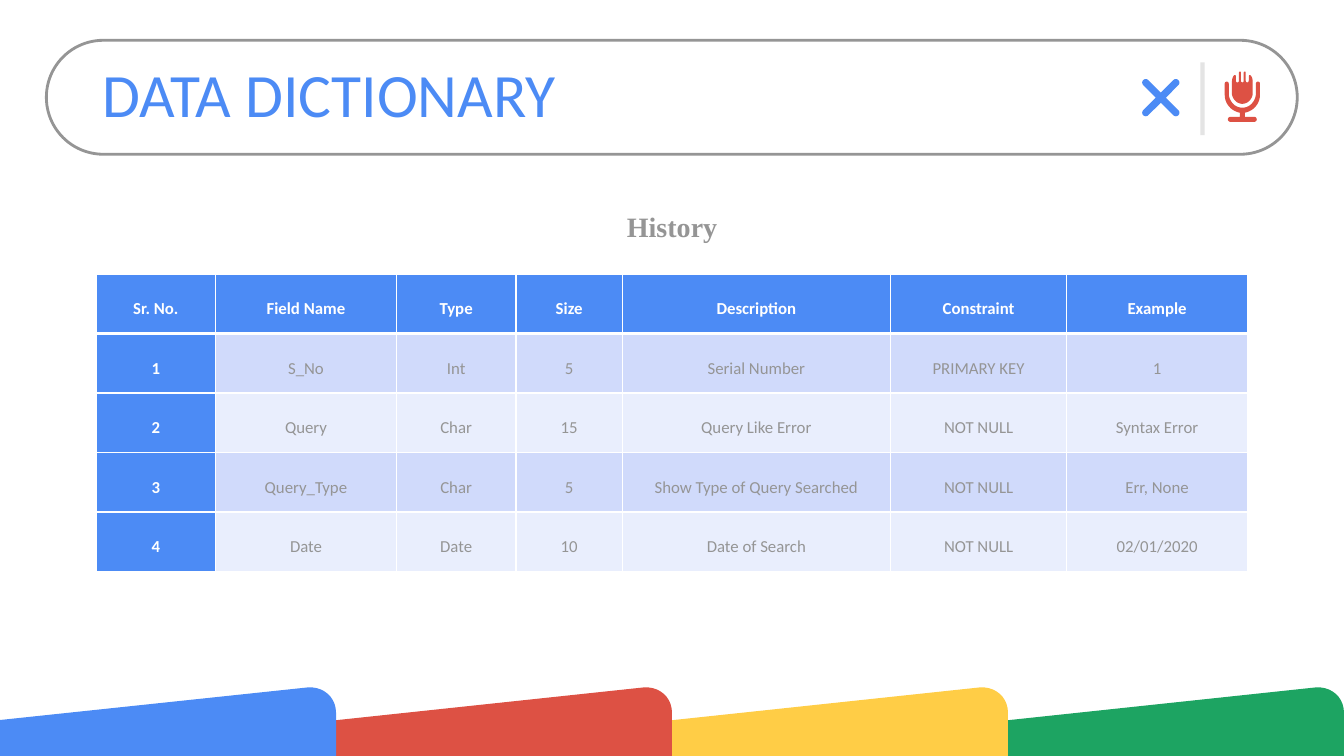
import itertools
import math

import lxml.etree
import pptx
import pptx.enum.shapes
import pptx.enum.text
import pptx.oxml.ns
import pptx.util

Pt = pptx.util.Pt
COLORS = {"blue": "4C8BF5", "red": "DD5144", "yellow": "FFCD46", "green": "1DA462",
          "gray": "959595", "divider": "E4E4E4", "white": "FFFFFF",
          "band": "D0DAFB", "light_band": "E9EEFD"}
SHAPES = pptx.enum.shapes.MSO_SHAPE
ALIGN = pptx.enum.text.PP_ALIGN
MIDDLE = pptx.enum.text.MSO_ANCHOR.MIDDLE

WIDTH, HEIGHT = 960, 540
BANNERS = ["blue", "red", "yellow", "green"]
COLUMN_WIDTHS = [85.5, 129, 85.5, 76, 191.5, 126, 129]
ROW_HEIGHT = 42.5
FIELDS = [
    ["Sr. No.", "Field Name", "Type", "Size", "Description", "Constraint", "Example"],
    ["1", "S_No", "Int", "5", "Serial Number", "PRIMARY KEY", "1"],
    ["2", "Query", "Char", "15", "Query Like Error", "NOT NULL", "Syntax Error"],
    ["3", "Query_Type", "Char", "5", "Show Type of Query Searched", "NOT NULL", "Err, None"],
    ["4", "Date", "Date", "10", "Date of Search", "NOT NULL", "02/01/2020"],
]
MIC_HEAD = [
    (0, 74.2), (-3.6, 74.2, -6.7, 71.3, -7.4, 67.5), (-7.4, 58.3),
    (-7.4, 56.6, -6.9, 55.1, -6, 54), (-5.5, 53.3, -4.6, 53.6, -4.6, 54.7), (-4.6, 57.6),
    (-4.6, 59.4, -2.4, 59.4, -2.4, 57.6), (-2.4, 51.9),
    (-2.4, 50.9, -1, 50.9, -1, 51.9), (-1, 57.6), (-1, 58.4, -0.6, 58.9, 0, 58.9),
]
MIC_STAND = [
    (0, 87.1), (-8.3, 87.1), (-11, 87.1, -11, 83.5, -8.3, 83.5), (-1.8, 83.5), (-1.8, 80.6),
    (-8.1, 79.2, -12.6, 74.2, -12.6, 67.7), (-12.6, 59.8),
    (-12.6, 57.9, -9.7, 57.9, -9.7, 59.8), (-9.7, 67.7), (-9, 73, -5, 77, 0, 77),
]


def color(name):
    """Return the named colour."""
    return pptx.dml.color.RGBColor.from_string(COLORS[name])


def trace(outline, steps=10):
    """Turn points and cubic curves into a list of points."""
    points = []
    for part in outline:
        if len(part) == 2:
            points.append(part)
            continue
        x0, y0 = points[-1]
        x1, y1, x2, y2, x3, y3 = part
        for step in range(1, steps + 1):
            t = step / steps
            a, b, c, d = (1 - t) ** 3, 3 * t * (1 - t) ** 2, 3 * t * t * (1 - t), t ** 3
            points.append((a * x0 + b * x1 + c * x2 + d * x3,
                           a * y0 + b * y1 + c * y2 + d * y3))
    return points


def mirror(half, axis):
    """Complete a half outline about a vertical axis."""
    left = trace(half)
    return ([(axis + x, y) for x, y in left]
            + [(axis - x, y) for x, y in reversed(left)])


def cross(center_x, center_y, reach=15.2, radius=2.55):
    """Return the outline of a diagonal cross with round ends."""
    arm = [(radius, -radius)]
    for degrees in range(-90, 91, 15):
        angle = math.radians(degrees)
        arm.append((reach + radius * math.cos(angle), radius * math.sin(angle)))
    points = []
    for turn in range(4):
        angle = math.pi / 4 + turn * math.pi / 2
        cos, sin = math.cos(angle), math.sin(angle)
        points += [(center_x + x * cos - y * sin, center_y + x * sin + y * cos)
                   for x, y in arm]
    return points


def banner(right, tail=480, slope=0.107):
    """Return the outline of a sloping banner that ends at the given right edge."""
    left = max(0, right - tail)
    left_top = HEIGHT - (left - right + tail) * slope
    return trace([(right, HEIGHT), (left, HEIGHT), (left, left_top), (right - 20, 491),
                  (right - 9, 490.3, right, 498, right, 509)])


def write(frame, text, font="Calibri", size=12, ink="gray", bold=False,
          align=ALIGN.LEFT, spacing=1.0, after=0):
    """Put one formatted paragraph in a text frame."""
    paragraph = frame.paragraphs[0]
    paragraph.alignment = align
    paragraph.line_spacing = spacing
    paragraph.space_after = Pt(after)
    run = paragraph.add_run()
    run.text = text
    run.font.name = font
    run.font.size = Pt(size)
    run.font.bold = bold
    run.font.color.rgb = color(ink)


class Deck:
    """Hold the style and the current slide."""

    def __init__(self):
        """Start a deck with one blank slide."""
        self.show = pptx.Presentation()
        self.show.slide_width, self.show.slide_height = Pt(WIDTH), Pt(HEIGHT)
        self.slide = self.show.slides.add_slide(self.show.slide_layouts[6])

    def paint(self, shape, fill, line=None, weight=2):
        """Set the fill and outline of a shape."""
        shape.shadow.inherit = False
        shape.fill.solid()
        shape.fill.fore_color.rgb = color(fill)
        if line:
            shape.line.color.rgb = color(line)
            shape.line.width = Pt(weight)
        else:
            shape.line.fill.background()

    def outline(self, fill, *contours):
        """Draw one filled shape from closed contours."""
        contours = [[(Pt(x), Pt(y)) for x, y in contour] for contour in contours]
        builder = self.slide.shapes.build_freeform(*contours[0][0], scale=1.0)
        builder.add_line_segments(contours[0][1:], close=True)
        for contour in contours[1:]:
            builder.move_to(*contour[0])
            builder.add_line_segments(contour[1:], close=True)
        self.paint(builder.convert_to_shape(), fill)

    def preset(self, kind, box, fill, line=None):
        """Draw a preset shape."""
        shape = self.slide.shapes.add_shape(kind, *map(Pt, box))
        self.paint(shape, fill, line)
        return shape

    def text(self, box, text, anchor=pptx.enum.text.MSO_ANCHOR.TOP, **style):
        """Add a text box."""
        frame = self.slide.shapes.add_textbox(*map(Pt, box)).text_frame
        frame.word_wrap = True
        frame.vertical_anchor = anchor
        write(frame, text, **style)

    def border(self, cell, **weights):
        """Give a cell white borders."""
        props = cell._tc.get_or_add_tcPr()
        for place, (side, weight) in enumerate(weights.items()):
            line = lxml.etree.Element(pptx.oxml.ns.qn("a:ln" + side), w=str(Pt(weight)))
            fill = lxml.etree.SubElement(line, pptx.oxml.ns.qn("a:solidFill"))
            lxml.etree.SubElement(fill, pptx.oxml.ns.qn("a:srgbClr"), val=COLORS["white"])
            props.insert(place, line)

    def table(self, left, top, rows, widths, row_height):
        """Add a table with a coloured header row and first column."""
        grid = self.slide.shapes.add_table(
            len(rows), len(widths), Pt(left), Pt(top),
            Pt(sum(widths)), Pt(row_height * len(rows))).table
        for column, width in zip(grid.columns, widths):
            column.width = Pt(width)
        for row in grid.rows:
            row.height = Pt(row_height)
        for r, c in itertools.product(range(len(rows)), range(len(widths))):
            cell = grid.cell(r, c)
            heading = r == 0 or c == 0
            cell.fill.solid()
            cell.fill.fore_color.rgb = color(
                "blue" if heading else "band" if r % 2 else "light_band")
            cell.vertical_anchor = MIDDLE
            cell.margin_left = cell.margin_right = Pt(5)
            cell.margin_top = cell.margin_bottom = 0
            write(cell.text_frame, rows[r][c], ink="white" if heading else "gray",
                  bold=heading, align=ALIGN.CENTER, spacing=1.5, after=0.2)
            self.border(cell, L=1, R=1, T=3 if r == 1 else 1, B=3 if r == 0 else 1)


def main():
    """Build the data dictionary slide."""
    deck = Deck()
    step = WIDTH / len(BANNERS)
    for number, fill in reversed(list(enumerate(BANNERS, 1))):
        deck.outline(fill, banner(number * step))

    search_bar = deck.preset(SHAPES.ROUNDED_RECTANGLE, (33.1, 28.8, 893.5, 81.4), "white", "gray")
    search_bar.adjustments[0] = 0.5
    deck.outline("red", mirror(MIC_HEAD, 887.4), mirror(MIC_STAND, 887.4))
    deck.outline("blue", cross(829.2, 69.8))
    deck.preset(SHAPES.RECTANGLE, (857.5, 44.6, 3, 52), "divider")
    deck.text((66.2, 28.8, 725.8, 81.4), "DATA DICTIONARY", anchor=MIDDLE,
              size=44, ink="blue", spacing=0.9)

    deck.table(68.6, 195.8, FIELDS, COLUMN_WIDTHS, ROW_HEIGHT)
    deck.text((26.6, 146.2, 907, 31.5), "History", font="Times New Roman", size=20,
              bold=True, align=ALIGN.CENTER)
    deck.show.save("out.pptx")


if __name__ == "__main__":
    main()
